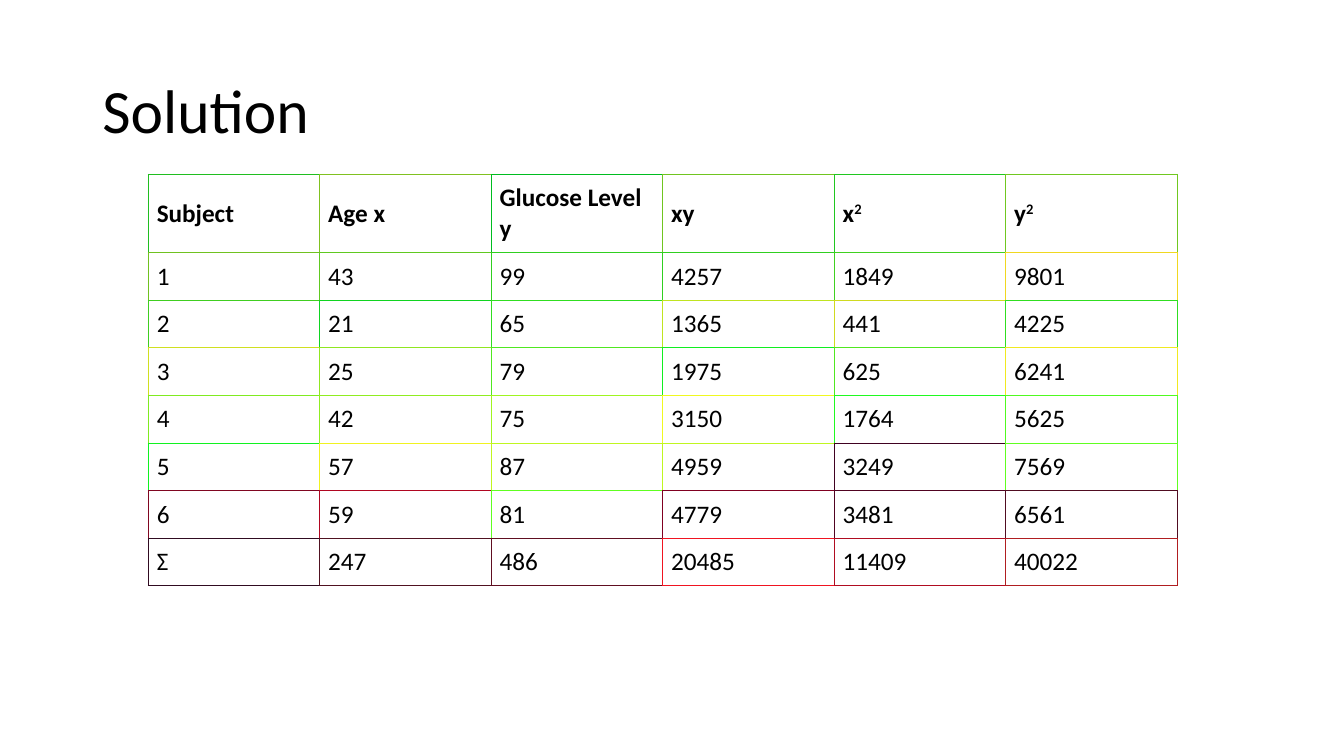
import pptx
import pptx.dml.color
import pptx.enum.text
import pptx.oxml
import pptx.oxml.ns
import pptx.util

Pt = pptx.util.Pt
RGBColor = pptx.dml.color.RGBColor
MIDDLE = pptx.enum.text.MSO_ANCHOR.MIDDLE

colours = {"text": "000000", "cell": "FFFFFF"}
# One border colour per cell, row by row
border_colours = [line.split() for line in (
    "20BE20 80C120 00BD20 70C520 20C720 70C820",
    "70C220 60C920 30CF20 30CF20 40D120 F0D820",
    "40CE20 10D420 30DE20 C0E420 D0DA20 30DE20",
    "D0E020 90E720 50E820 10EF20 50E820 F0EA20",
    "80EB20 90ED20 A0F520 F0F920 20FA20 50FA20",
    "10F220 F0F320 C0F620 C0F620 400121 60FF20",
    "800621 B00621 60FF20 800021 500321 500C21",
    "300B21 501221 600E21 F01421 B00C21 B01E21",
)]

# Each cell is a base text and a superscript
header = [("Subject", ""), ("Age x", ""), ("Glucose Level y", ""),
          ("xy", ""), ("x", "2"), ("y", "2")]
subjects = [(43, 99), (21, 65), (25, 79), (42, 75), (57, 87), (59, 81)]
products = [(x, y, x * y, x * x, y * y) for x, y in subjects]
sums = [sum(column) for column in zip(*products)]
body = [(number, *values) for number, values in enumerate(products, 1)]
body.append(("Σ", *sums))
rows = [header] + [[(str(value), "") for value in row] for row in body]


def add_text(paragraph, text, size, bold=False):
    run = paragraph.add_run()
    run.text = text
    for name, value in {"name": "Calibri", "size": Pt(size), "bold": bold}.items():
        setattr(run.font, name, value)
    run.font.color.rgb = RGBColor.from_string(colours["text"])
    return run


def add_border(cell, side, colour):
    """Draw one side (L, R, T or B) of a table cell."""
    cell._tc.get_or_add_tcPr().append(pptx.oxml.parse_xml(
        f'<a:ln{side} {pptx.oxml.ns.nsdecls("a")} w="{Pt(0.75)}">'
        f'<a:solidFill><a:srgbClr val="{colour}"/></a:solidFill></a:ln{side}>'))


presentation = pptx.Presentation()
presentation.slide_width, presentation.slide_height = Pt(960), Pt(540)
slide = presentation.slides.add_slide(presentation.slide_layouts[5])

title = slide.shapes.title
title_box = {"left": 66, "top": 28.75, "width": 828, "height": 104.4}
for name, value in title_box.items():
    setattr(title, name, Pt(value))
title.text_frame.auto_size = pptx.enum.text.MSO_AUTO_SIZE.NONE
title.text_frame.vertical_anchor = MIDDLE
paragraph = title.text_frame.paragraphs[0]
paragraph.alignment = pptx.enum.text.PP_ALIGN.LEFT
paragraph.line_spacing = 0.9
add_text(paragraph, "Solution", 44)

header_height, row_height, column_width = 56, 34, 122.5
table = slide.shapes.add_table(
    len(rows), len(header), Pt(106), Pt(124.5), Pt(column_width * len(header)),
    Pt(header_height + row_height * len(body))).table
table.first_row = table.horz_banding = False
for column in table.columns:
    column.width = Pt(column_width)

cell_format = {"vertical_anchor": MIDDLE, "margin_left": Pt(6), "margin_right": Pt(6),
               "margin_top": Pt(6), "margin_bottom": Pt(6)}
last_row, last_column = len(rows) - 1, len(header) - 1
for i, row in enumerate(rows):
    table.rows[i].height = Pt(row_height if i else header_height)
    for j, (text, superscript) in enumerate(row):
        cell = table.cell(i, j)
        for name, value in cell_format.items():
            setattr(cell, name, value)

        # Right and bottom sides take the colour of the neighbouring cell
        own = border_colours[i][j]
        add_border(cell, "L", own)
        add_border(cell, "R", border_colours[i][min(j + 1, last_column)])
        add_border(cell, "T", own)
        add_border(cell, "B", border_colours[min(i + 1, last_row)][j])
        cell.fill.solid()
        cell.fill.fore_color.rgb = RGBColor.from_string(colours["cell"])

        paragraph = cell.text_frame.paragraphs[0]
        add_text(paragraph, text, 18, bold=i == 0)
        if superscript:
            run = add_text(paragraph, superscript, 18, bold=True)
            run._r.get_or_add_rPr().set("baseline", "30000")

presentation.save("out.pptx")
